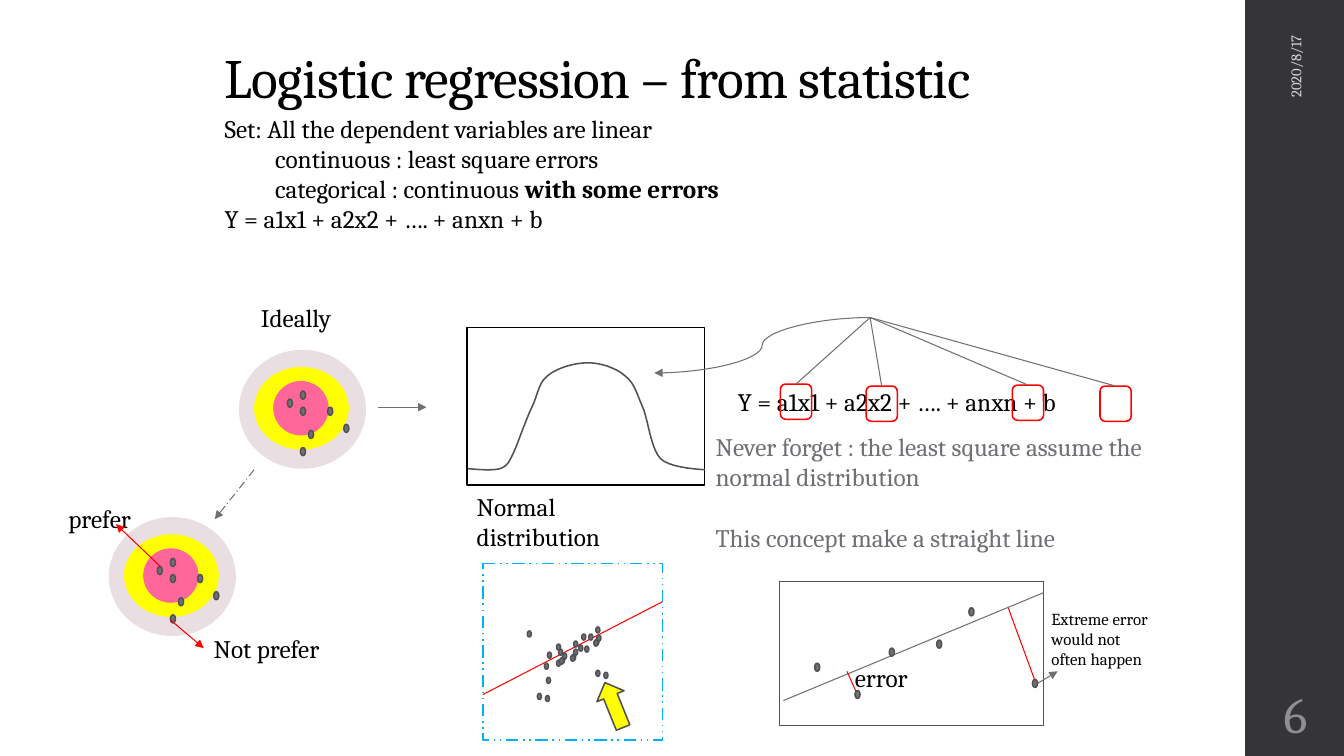
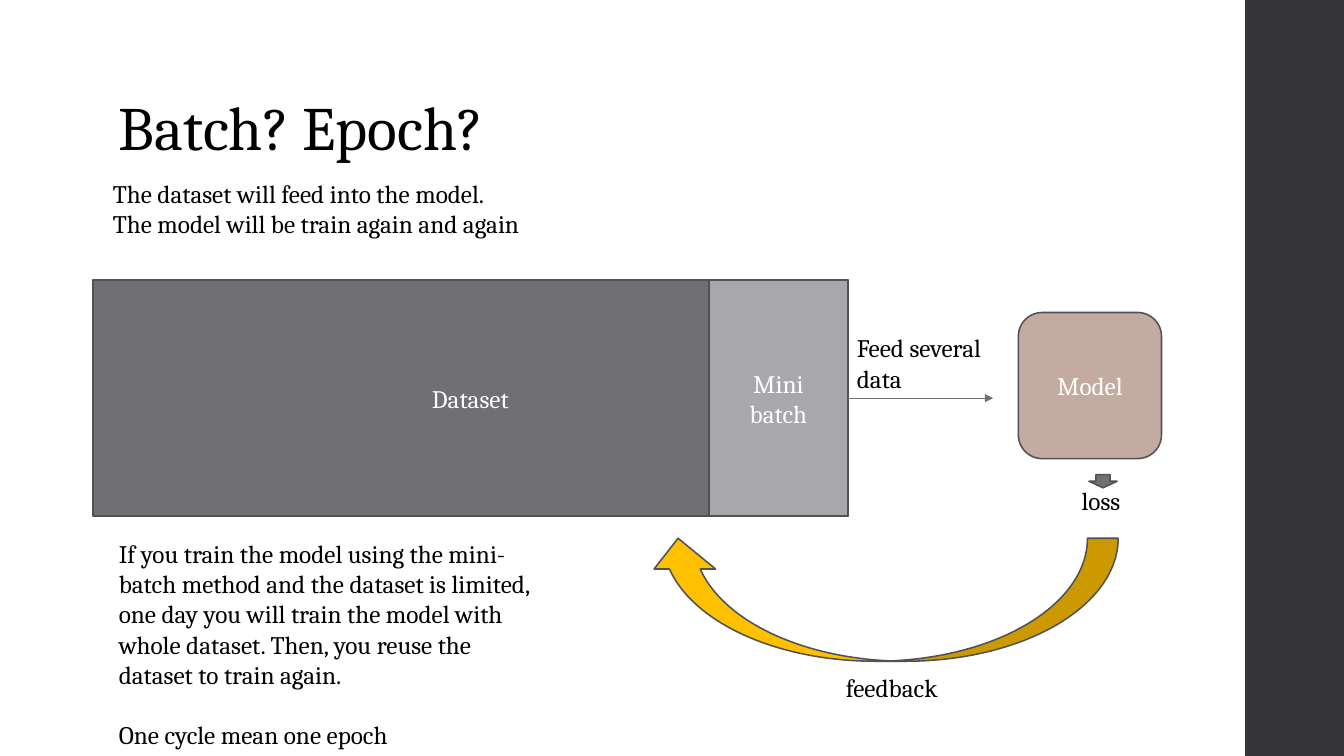
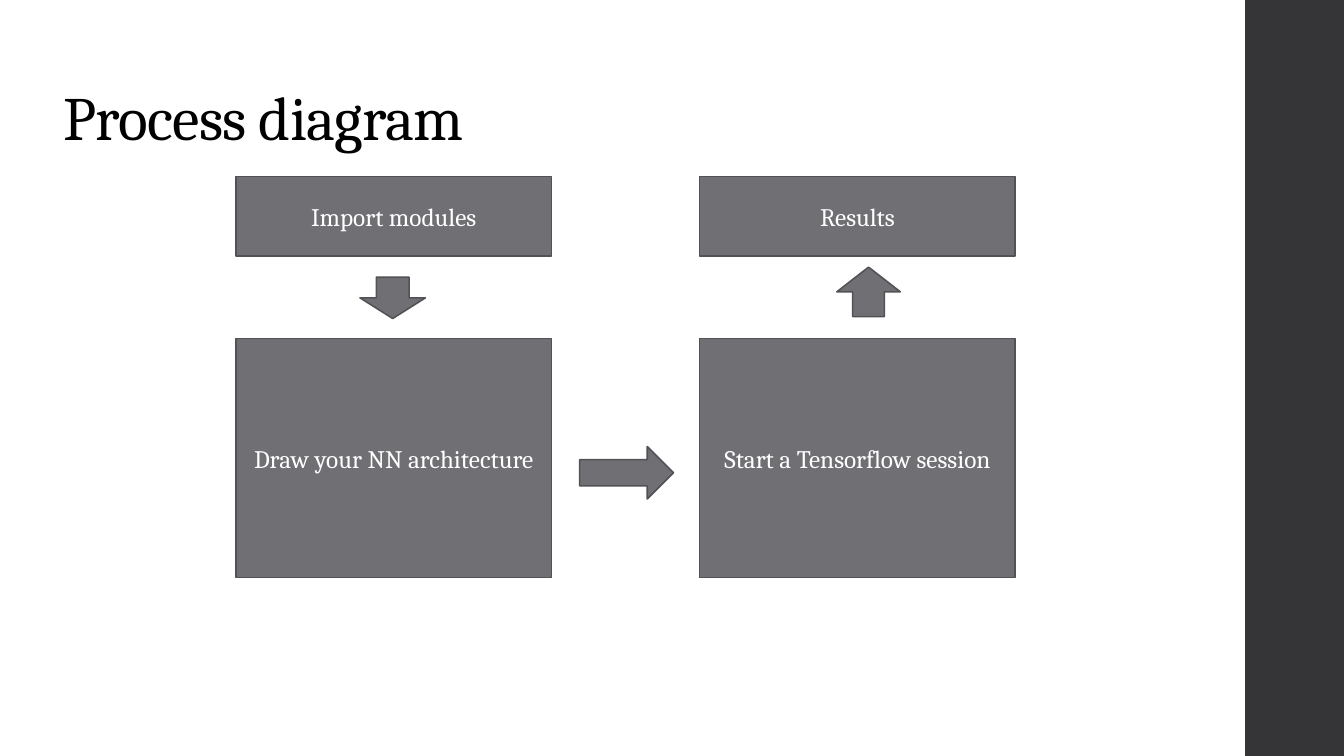
"""Build three slides on regression, batches and the training process."""
from lxml import etree
from pptx import Presentation
from pptx.dml.color import RGBColor
from pptx.enum import dml, shapes, text
from pptx.oxml import ns
from pptx.util import Inches, Pt

FONT = "Cambria"
HUES = {
    "band": "353537", "ink": "000000", "white": "FFFFFF", "gray": "6F6F74",
    "edge": "525256", "light": "A8A8AC", "date": "D9D9DB", "page": "8E8E94",
    "outer": "E9DFE3", "yellow": "FFFF00", "pink": "FF6699", "red": "FF0000",
    "blue": "00B0F0", "tan": "C3ABA1", "gold": "FFC000",
}
KIND = shapes.MSO_SHAPE
LINK = shapes.MSO_CONNECTOR
DASH = dml.MSO_LINE
ALIGN = text.PP_ALIGN
ANCHOR = text.MSO_ANCHOR

HITS = [(0.48, 0.49), (0.61, 0.41), (0.61, 0.57), (0.69, 0.8),
        (0.61, 0.97), (0.88, 0.57), (1.04, 0.74)]
CLOUD = [(5.52, 6.39), (5.67, 6.49), (5.8, 6.41), (5.91, 6.22), (5.54, 6.44),
         (5.69, 6.44), (5.84, 6.29), (5.69, 6.36), (5.52, 6.55), (5.66, 6.5),
         (5.56, 6.52), (5.43, 6.47), (5.58, 6.48), (5.4, 6.58), (5.55, 6.53),
         (5.9, 6.34), (5.77, 6.29), (5.92, 6.3), (5.74, 6.4), (5.89, 6.35),
         (5.42, 6.72), (5.41, 6.9), (5.33, 6.88), (5.23, 6.26), (5.99, 6.67),
         (5.91, 6.65)]
BELL = [(4.64, 4.65),
        (4.76, 4.66), (4.88, 4.67), (4.96, 4.65),
        (5.03, 4.62), (5.04, 4.6), (5.09, 4.5),
        (5.14, 4.39), (5.22, 4.15), (5.28, 4.03),
        (5.34, 3.9), (5.34, 3.8), (5.43, 3.73),
        (5.52, 3.65), (5.7, 3.6), (5.83, 3.6),
        (5.96, 3.6), (6.11, 3.65), (6.2, 3.73),
        (6.29, 3.8), (6.31, 3.89), (6.37, 4.03),
        (6.43, 4.16), (6.45, 4.44), (6.55, 4.55),
        (6.65, 4.65), (6.99, 4.66), (6.99, 4.66)]


def hue(name):
    """Return the named colour."""
    return RGBColor.from_string(HUES[name])


def write(shape, lines, size=18, color="ink", align=ALIGN.LEFT,
          anchor=ANCHOR.TOP, wrap=True, inset=None, track=None,
          lead=None, indent=(), gaps=()):
    """Fill a shape with lines; a tuple line ends in a bold run."""
    frame = shape.text_frame
    frame.auto_size = text.MSO_AUTO_SIZE.NONE
    frame.word_wrap = wrap
    frame.vertical_anchor = anchor
    if inset is not None:
        frame.margin_left = frame.margin_right = Inches(inset)
    for i, line in enumerate(lines):
        para = frame.paragraphs[0] if i == 0 else frame.add_paragraph()
        para.alignment = align
        if lead:
            para.line_spacing = lead
        if i in gaps:
            para.space_before = Pt(21.6)
        if i in indent:
            para._p.get_or_add_pPr().set("marL", str(Inches(0.5)))
        parts = (line,) if isinstance(line, str) else line
        for j, part in enumerate(parts):
            run = para.add_run()
            run.text = part
            run.font.name = FONT
            run.font.size = Pt(size)
            run.font.bold = j > 0
            run.font.color.rgb = hue(color)
            if track:
                run._r.get_or_add_rPr().set("spc", str(track))


def label(slide, box, *lines, turn=0, **style):
    """Add a text box."""
    shape = slide.shapes.add_textbox(*map(Inches, box))
    shape.rotation = turn
    write(shape, lines, **style)


def stroke(shape, color, width=1.1, dash=None):
    """Format an outline or a connector."""
    shape.line.color.rgb = hue(color)
    shape.line.width = Pt(width)
    if dash:
        shape.line.dash_style = dash


def block(slide, kind, box, fill=None, edge="edge", lines=(), turn=0, dash=None):
    """Add a preset shape with optional centred white text."""
    shape = slide.shapes.add_shape(kind, *map(Inches, box))
    shape.shadow.inherit = False
    shape.rotation = turn
    if fill:
        shape.fill.solid()
        shape.fill.fore_color.rgb = hue(fill)
    else:
        shape.fill.background()
    if edge:
        stroke(shape, edge, dash=dash)
    else:
        shape.line.fill.background()
    if lines:
        write(shape, lines, color="white", align=ALIGN.CENTER, anchor=ANCHOR.MIDDLE)
    return shape


def join(slide, start, end, color="gray", arrow=False, dash=None,
         kind=LINK.STRAIGHT, source=None, side=0):
    """Add a connector, joined to a side of source if one is given."""
    line = slide.shapes.add_connector(kind, *map(Inches, (*start, *end)))
    if source is not None:
        line.begin_connect(source, side)
    stroke(line, color, 0.75, dash)
    props = line._element.spPr
    if arrow:
        etree.SubElement(props.find(ns.qn("a:ln")), ns.qn("a:tailEnd"), type="triangle")
    etree.SubElement(props, ns.qn("a:effectLst"))


def dots(slide, points, wide=0.05, high=0.08):
    """Add one small dot for each point."""
    for x, y in points:
        block(slide, KIND.OVAL, (x, y, wide, high), "gray")


def target(slide, x, y):
    """Draw a target with its hits."""
    rings = [(0, 0, 1.26, 1.18, "outer"), (0.15, 0.17, 0.94, 0.82, "yellow"),
             (0.34, 0.31, 0.55, 0.54, "pink")]
    for dx, dy, wide, high, fill in rings:
        block(slide, KIND.OVAL, (x + dx, y + dy, wide, high), fill, None)
    dots(slide, [(x + dx, y + dy) for dx, dy in HITS])


def curve(slide, knots, steps=10):
    """Draw an open outline through a chain of cubic curves."""
    points = []
    for i in range(0, len(knots) - 1, 3):
        for n in range(1, steps + 1):
            t = n / steps
            mix = ((1 - t) ** 3, 3 * t * (1 - t) ** 2, 3 * t * t * (1 - t), t ** 3)
            points.append(tuple(
                Inches(sum(m * knot[axis] for m, knot in zip(mix, knots[i:i + 4])))
                for axis in (0, 1)))
    pen = slide.shapes.build_freeform(*map(Inches, knots[0]))
    pen.add_line_segments(points, close=False)
    shape = pen.convert_to_shape()
    shape.shadow.inherit = False
    shape.fill.background()
    stroke(shape, "edge")


def begin(deck, title, box, size=44, anchor=ANCHOR.BOTTOM, track=-50):
    """Add a slide with the side band and a title."""
    slide = deck.slides.add_slide(deck.slide_layouts[5])
    block(slide, KIND.RECTANGLE, (12.35, 0, 0.98, 7.5), "band", None)
    head = slide.shapes.title
    head.left, head.top, head.width, head.height = map(Inches, box)
    write(head, [title], size=size, anchor=anchor, track=track, lead=0.9)
    return slide


def errors(slide):
    """Draw the line fit with its errors."""
    block(slide, KIND.RECTANGLE, (7.73, 5.77, 2.62, 1.43))
    join(slide, (7.77, 6.95), (10.35, 5.88))
    dots(slide, [(8.08, 6.58), (8.48, 6.85), (8.82, 6.43), (9.29, 6.35),
                 (9.61, 6.03), (10.24, 6.74)])
    join(slide, (8.4, 6.66), (8.49, 6.86), "red")
    label(slide, (8.38, 6.52, 1.72, 0.4), "error")
    join(slide, (10.26, 6.74), (10, 6.03), "red")
    label(slide, (10.33, 5.99, 1.38, 0.71), "Extreme error would not",
          "often happen", size=12)
    join(slide, (10.29, 6.78), (10.49, 6.66), arrow=True)


def scatter(slide):
    """Draw the scatter with its trend and outliers."""
    block(slide, KIND.FLOWCHART_PROCESS, (4.79, 5.59, 1.78, 1.75), edge="blue",
          dash=DASH.DASH_DOT_DOT)
    join(slide, (4.79, 6.89), (6.57, 5.97), "red")
    dots(slide, CLOUD, 0.04, 0.06)
    block(slide, KIND.RIGHT_ARROW, (5.85, 6.85, 0.48, 0.29), "yellow", turn=248)


def logistic(deck):
    """Build the regression slide."""
    slide = begin(deck, "Logistic regression – from statistic",
                  (2.13, 0, 9.57, 1.15), size=39.6)
    label(slide, (11.81, 1.09, 2.08, 0.4), "2020/8/17", turn=270, size=10.5,
          color="date", align=ALIGN.RIGHT, anchor=ANCHOR.MIDDLE)
    label(slide, (12.35, 6.75, 1, 0.65), "6", size=36, color="page",
          align=ALIGN.CENTER, anchor=ANCHOR.MIDDLE, inset=0.05)
    label(slide, (2.13, 1.07, 6.34, 1.31),
          "Set: All the dependent variables are linear",
          "continuous : least square errors",
          ("categorical : continuous ", "with some errors"),
          "Y = a1x1 + a2x2 + …. + anxn + b", indent=(1, 2))

    label(slide, (2.49, 2.95, 0.93, 0.4), "Ideally", wrap=False)
    target(slide, 2.37, 3.47)
    join(slide, (3.75, 4.04), (4.23, 4.04), arrow=True)
    block(slide, KIND.RECTANGLE, (4.63, 3.25, 2.36, 1.56), edge="ink")
    curve(slide, BELL)
    label(slide, (4.63, 4.82, 1.8, 0.71), "Normal distribution")

    label(slide, (7.22, 3.78, 3.37, 0.4), "Y = a1x1 + a2x2 + …. + anxn + b",
          wrap=False)
    peak = (8.63, 3.15)
    for x, y in [(7.74, 3.81), (8.59, 3.83), (10.04, 3.82), (10.91, 3.83)]:
        term = block(slide, KIND.ROUNDED_RECTANGLE, (x, y, 0.31, 0.35), edge="red")
        join(slide, (x, y), peak, source=term)
    join(slide, peak, (6.49, 3.7), arrow=True, kind=LINK.CURVE)
    label(slide, (7, 4.23, 4.67, 1.31),
          "Never forget : the least square assume the normal distribution",
          "This concept make a straight line", color="gray", gaps=(1,))
    errors(slide)

    target(slide, 1.08, 5.13)
    label(slide, (0.58, 4.94, 0.96, 0.4), "prefer")
    label(slide, (2.02, 6.23, 1.4, 0.4), "Not prefer")
    join(slide, (1.69, 6.15), (2.02, 6.43), "red", arrow=True)
    join(slide, (1.59, 5.62), (1.15, 5.2), "red", arrow=True)
    scatter(slide)
    join(slide, (2.52, 4.66), (2.13, 5.15), arrow=True, dash=DASH.LONG_DASH_DOT)


def batch(deck):
    """Build the batch and epoch slide."""
    slide = begin(deck, "Batch? Epoch?", (1.08, 0.57, 11.5, 1.45),
                  anchor=ANCHOR.MIDDLE, track=None)
    block(slide, KIND.RECTANGLE, (0.92, 2.78, 7.49, 2.34), "gray", lines=["Dataset"])
    mini = block(slide, KIND.RECTANGLE, (7.03, 2.78, 1.38, 2.34), "light",
                 lines=["Mini", "batch"])
    block(slide, KIND.ROUNDED_RECTANGLE, (10.1, 3.1, 1.42, 1.45), "tan",
          lines=["Model"])
    join(slide, (8.41, 3.95), (9.85, 3.95), arrow=True, source=mini, side=3)
    label(slide, (8.4, 3.25, 1.58, 0.71), "Feed several data")
    block(slide, KIND.CURVED_DOWN_ARROW, (6.42, 5.34, 4.67, 1.22), "gold", turn=180)
    label(slide, (8.29, 6.62, 1.42, 0.4), "feedback")
    label(slide, (10.21, 4.77, 1.42, 0.4), "loss", align=ALIGN.CENTER)
    block(slide, KIND.DOWN_ARROW, (10.8, 4.71, 0.28, 0.13), "gray")
    label(slide, (1.02, 1.72, 4.28, 0.71), "The dataset will feed into the model.",
          "The model will be train again and again")
    label(slide, (1.08, 5.29, 4.44, 2.21),
          "If you train the model using the mini-batch method and the dataset is "
          "limited, one day you will train the model with whole dataset. Then, you "
          "reuse the dataset to train again.",
          "One cycle mean one epoch", gaps=(1,))


def process(deck):
    """Build the process slide."""
    slide = begin(deck, "Process diagram", (0.53, 0.13, 11.5, 1.45))
    columns = [(2.34, "Import modules", "Draw your NN architecture"),
               (6.94, "Results", "Start a Tensorflow session")]
    for x, top, low in columns:
        block(slide, KIND.RECTANGLE, (x, 1.75, 3.13, 0.79), "gray", lines=[top])
        block(slide, KIND.RECTANGLE, (x, 3.36, 3.13, 2.37), "gray", lines=[low])
    block(slide, KIND.DOWN_ARROW, (3.57, 2.75, 0.65, 0.41), "gray")
    block(slide, KIND.RIGHT_ARROW, (5.75, 4.43, 0.93, 0.52), "gray")
    block(slide, KIND.UP_ARROW, (8.3, 2.65, 0.63, 0.49), "gray")


def main():
    """Build and save the deck."""
    deck = Presentation()
    deck.slide_width, deck.slide_height = Inches(13.33), Inches(7.5)
    logistic(deck)
    batch(deck)
    process(deck)
    deck.save("out.pptx")


if __name__ == "__main__":
    main()
